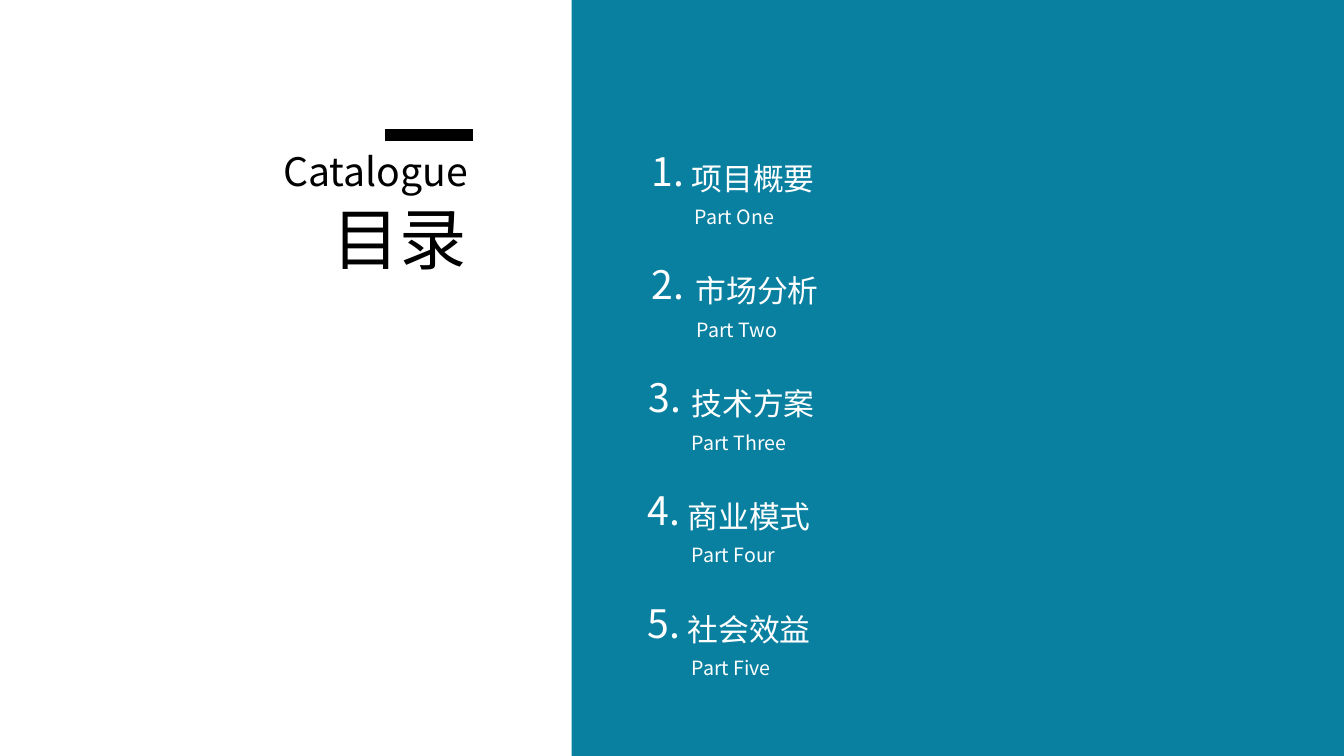
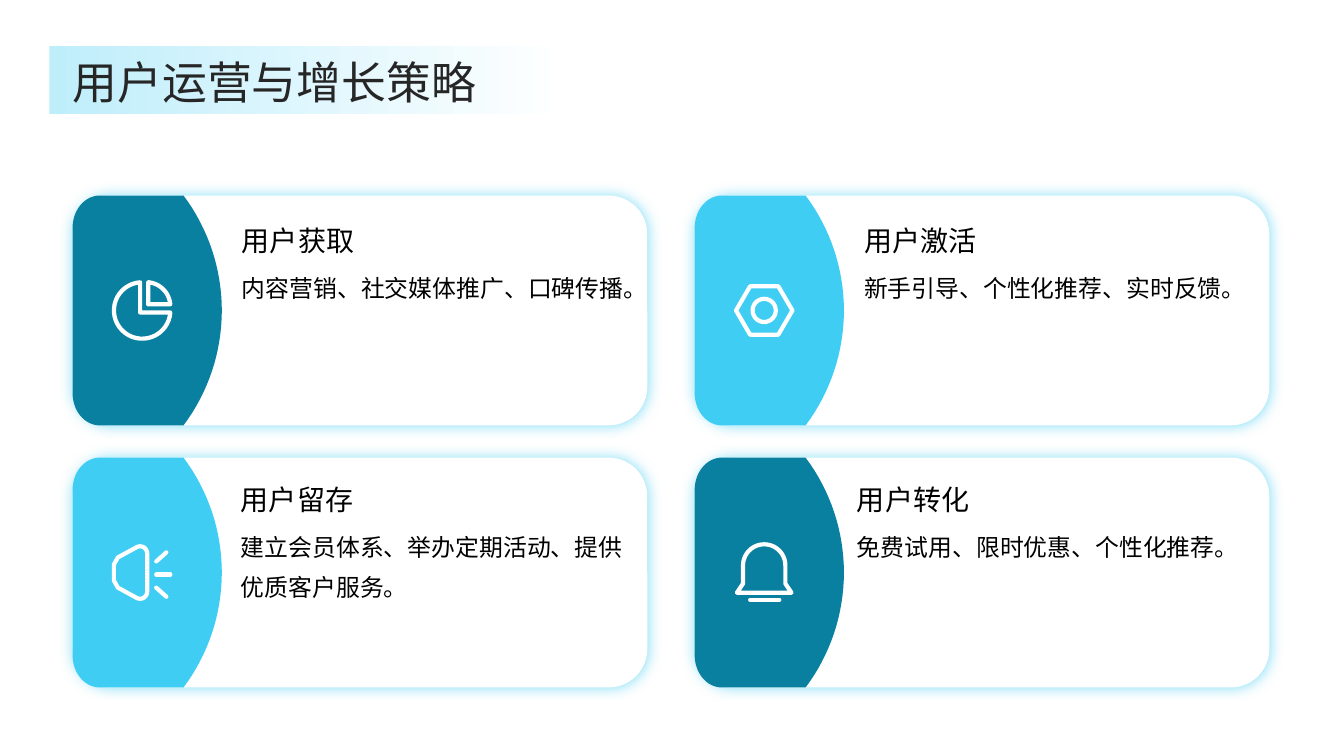
"""Build a contents slide and a user growth strategy slide."""
import math

from lxml import etree
from pptx import Presentation
from pptx import util as u
from pptx.dml.color import RGBColor
from pptx.enum import shapes, text
from pptx.oxml.ns import qn

WHITE = RGBColor(0xFF, 0xFF, 0xFF)
BLACK = RGBColor(0, 0, 0)
INK = RGBColor(0x26, 0x26, 0x26)
TEAL = RGBColor(0x0A, 0x80, 0xA0)
SKY = RGBColor(0x3F, 0xCD, 0xF3)
PALE = RGBColor(0xBF, 0xEE, 0xFB)
GLOW = RGBColor(0x7F, 0xDD, 0xF7)
FONT = "Noto Sans CJK SC"
SLIDE_W, SLIDE_H = 13.33, 7.5

PANEL_X = 5.67
ENTRY_TOP, ENTRY_PITCH = 1.5, 1.12
ENTRIES = [
    ("项目概要", "Part One", (6.46, 6.86, 6.89)),
    ("市场分析", "Part Two", (6.46, 6.9, 6.91)),
    ("技术方案", "Part Three", (6.43, 6.86, 6.86)),
    ("商业模式", "Part Four", (6.42, 6.82, 6.86)),
    ("社会效益", "Part Five", (6.42, 6.82, 6.86)),
]

CARD_X, CARD_Y, CARD_W, CARD_H = 0.72, 1.94, 5.7, 2.28
CARD_DX, CARD_DY = 6.17, 2.6
CARDS = [
    ("用户获取", "内容营销、社交媒体推广、口碑传播。", TEAL, "pie", (1.68, 0.21)),
    ("用户激活", "新手引导、个性化推荐、实时反馈。", SKY, "nut", (1.68, 0.21)),
    ("用户留存", "建立会员体系、举办定期活动、提供优质客户服务。", SKY, "horn", (1.67, 0.18)),
    ("用户转化", "免费试用、限时优惠、个性化推荐。", TEAL, "bell", (1.61, 0.18)),
]


def arc(cx, cy, rx, ry, start, end, steps=32):
    """Return points along an elliptical arc, clockwise degrees from the right."""
    angles = [math.radians(start + (end - start) * i / steps) for i in range(steps + 1)]
    return [(cx + rx * math.cos(a), cy + ry * math.sin(a)) for a in angles]


ICON_X = 0.69
ICONS = {
    "pie": [
        [(-0.02, -0.28), (-0.02, 0.02)] + arc(0, 0, 0.28, 0.28, 4, 266),
        [(0.06, -0.06)] + arc(0.04, -0.04, 0.24, 0.24, -85, -5),
    ],
    "nut": [
        arc(0, 0, 0.115, 0.115, 0, 360),
        [(-0.28, 0), (-0.14, -0.24), (0.14, -0.24), (0.28, 0), (0.14, 0.24), (-0.14, 0.24)],
    ],
    "horn": [
        [(-0.28, -0.08), (-0.24, -0.15)] + arc(-0.02, -0.19, 0.07, 0.07, 240, 360)
        + arc(-0.02, 0.19, 0.07, 0.07, 0, 120) + [(-0.24, 0.15), (-0.28, 0.08)],
        [(0.14, -0.11), (0.24, -0.2)],
        [(0.14, 0.02), (0.28, 0.02)],
        [(0.14, 0.15), (0.24, 0.24)],
    ],
    "bell": [
        [(-0.27, 0.2), (-0.21, 0.11)] + arc(0, -0.07, 0.21, 0.21, 180, 360)
        + [(0.21, 0.11), (0.27, 0.2)],
        [(-0.14, 0.27), (0.15, 0.27)],
    ],
}
ICONS["pie"][0].insert(2, (0.28, 0.02))

SWEEP = 36.87
TAB = (arc(0.27, 0.32, 0.27, 0.32, 270, 180)
       + arc(0.27, CARD_H - 0.32, 0.27, 0.32, 180, 90)
       + arc(-0.42, CARD_H / 2, 1.9, 1.9, SWEEP, -SWEEP))


def style(sp, words, size, color, align=text.PP_ALIGN.LEFT,
          anchor=text.MSO_ANCHOR.TOP, spacing=None):
    """Write one formatted paragraph into a shape."""
    tf = sp.text_frame
    tf.text = words
    tf.word_wrap = True
    tf.auto_size = text.MSO_AUTO_SIZE.NONE
    tf.vertical_anchor = anchor
    tf.margin_left = tf.margin_right = tf.margin_top = tf.margin_bottom = 0
    p = tf.paragraphs[0]
    p.alignment = align
    p.line_spacing = spacing or 1.0
    r = p.runs[0]
    r.font.size = u.Pt(size)
    r.font.name = FONT
    r.font.color.rgb = color
    etree.SubElement(r._r.get_or_add_rPr(), qn("a:ea")).set("typeface", FONT)


def add_text(s, box, *args, **kwargs):
    """Add a text box."""
    style(s.shapes.add_textbox(*map(u.Inches, box)), *args, **kwargs)


def set_title(s, box, words, size, color, spacing=None):
    """Format the title placeholder and bring it to the front."""
    sp = s.shapes.title
    sp.left, sp.top, sp.width, sp.height = map(u.Inches, box)
    style(sp, words, size, color, anchor=text.MSO_ANCHOR.MIDDLE, spacing=spacing)
    s.shapes._spTree.append(sp._element)


def add_block(s, kind, box, color=None):
    """Add a preset shape without line or shadow."""
    sp = s.shapes.add_shape(kind, *map(u.Inches, box))
    sp.shadow.inherit = False
    sp.line.fill.background()
    if color is not None:
        sp.fill.solid()
        sp.fill.fore_color.rgb = color
    return sp


def add_line(s, start, end, color, width):
    """Add a straight line without shadow."""
    c = s.shapes.add_connector(shapes.MSO_CONNECTOR.STRAIGHT, *map(u.Inches, start + end))
    c.line.color.rgb = color
    c.line.width = u.Pt(width)
    etree.SubElement(c._element.spPr, qn("a:effectLst"))
    return c


def add_outline(s, x, y, points):
    """Add a closed freeform whose points are offsets in inches from x, y."""
    pts = [(u.Inches(x + px), u.Inches(y + py)) for px, py in points]
    fb = s.shapes.build_freeform(*pts[0])
    fb.add_line_segments(pts[1:], close=True)
    sp = fb.convert_to_shape()
    sp.shadow.inherit = False
    return sp


def add_icon(s, x, y, strokes):
    """Draw an icon from white strokes centred on x, y."""
    for points in strokes:
        if len(points) == 2:
            start, end = [(x + px, y + py) for px, py in points]
            sp = add_line(s, start, end, WHITE, 3)
        else:
            sp = add_outline(s, x, y, points)
            sp.fill.background()
            sp.line.color.rgb = WHITE
            sp.line.width = u.Pt(3)
        sp.line._get_or_add_ln().set("cap", "rnd")


def add_card(s, x, y, heading, body, color, icon, offset):
    """Add a glowing card with a coloured tab, an icon and its text."""
    sp = add_block(s, shapes.MSO_SHAPE.ROUNDED_RECTANGLE, (x, y, CARD_W, CARD_H), WHITE)
    sp.adjustments[0] = 0.167
    effects = sp._element.spPr.find(qn("a:effectLst"))
    glow = etree.SubElement(effects, qn("a:outerShdw"), blurRad=str(u.Pt(10)),
                            dist="0", dir="0", algn="ctr", rotWithShape="0")
    clr = etree.SubElement(glow, qn("a:srgbClr"), val=str(GLOW))
    etree.SubElement(clr, qn("a:alpha"), val="92000")
    tab = add_outline(s, x, y, TAB)
    tab.fill.solid()
    tab.fill.fore_color.rgb = color
    tab.line.fill.background()
    add_icon(s, x + ICON_X, y + CARD_H / 2, ICONS[icon])
    tx, ty = x + offset[0], y + offset[1]
    add_text(s, (tx, ty, 3.8, 0.46), heading, 20, BLACK, anchor=text.MSO_ANCHOR.MIDDLE)
    add_text(s, (tx, ty + 0.45, 3.8, 1.45), body, 17, BLACK, spacing=1.4)


def build_contents(s):
    """Build the contents slide."""
    add_block(s, shapes.MSO_SHAPE.RECTANGLE, (PANEL_X, 0, SLIDE_W - PANEL_X, SLIDE_H), TEAL)
    add_text(s, (2.4, 1.5, 2.24, 0.39), "Catalogue", 28, BLACK,
             align=text.PP_ALIGN.RIGHT, anchor=text.MSO_ANCHOR.MIDDLE)
    set_title(s, (3.3, 2.02, 1.43, 0.67), "目录", 48, BLACK)
    add_line(s, (3.82, 1.34), (4.69, 1.34), BLACK, 8)
    for i, (label, part, (num_x, label_x, part_x)) in enumerate(ENTRIES):
        y = ENTRY_TOP + i * ENTRY_PITCH
        add_text(s, (num_x, y, 0.42, 0.39), f"{i + 1}.", 28, WHITE,
                 anchor=text.MSO_ANCHOR.MIDDLE)
        add_text(s, (label_x, y + 0.08, 3.5, 0.31), label, 22, WHITE)
        add_text(s, (part_x, y + 0.53, 3, 0.19), part, 14, WHITE)


def build_strategy(s):
    """Build the four-card strategy slide."""
    for i, card in enumerate(CARDS):
        row, col = divmod(i, 2)
        add_card(s, CARD_X + col * CARD_DX, CARD_Y + row * CARD_DY, *card)
    band = add_block(s, shapes.MSO_SHAPE.RECTANGLE, (0.49, 0.46, 5.12, 0.67))
    band.fill.gradient()
    band.fill.gradient_angle = 0
    for stop, position, color in zip(band.fill.gradient_stops, (0, 1), (PALE, WHITE)):
        stop.position = position
        stop.color.rgb = color
    set_title(s, (CARD_X, 0.53, 11.88, 0.51), "用户运营与增长策略", 32, INK, spacing=1.1)


def main():
    """Create and save the presentation."""
    prs = Presentation()
    prs.slide_width, prs.slide_height = u.Inches(SLIDE_W), u.Inches(SLIDE_H)
    for build in (build_contents, build_strategy):
        build(prs.slides.add_slide(prs.slide_layouts[5]))
    prs.save("out.pptx")


if __name__ == "__main__":
    main()
